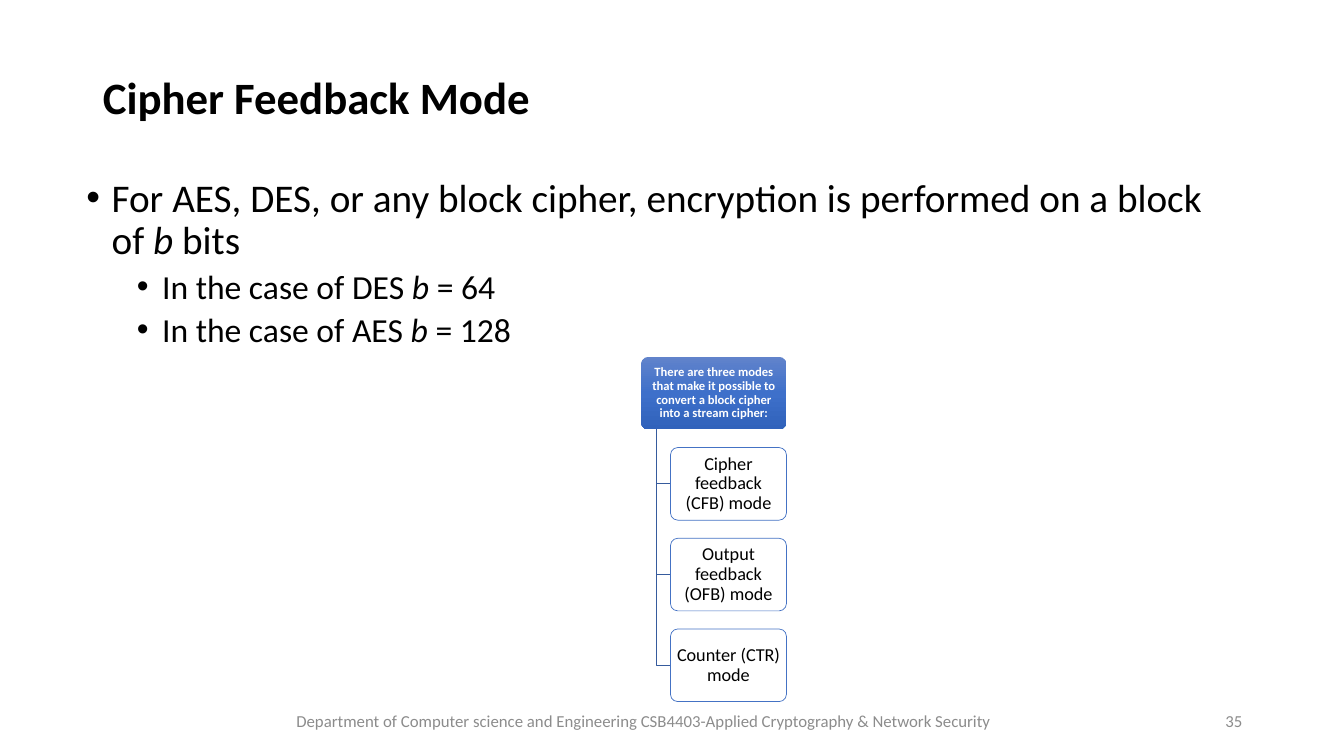
from copy import deepcopy
from dataclasses import dataclass

from lxml import etree
from pptx import Presentation
from pptx.dml.color import RGBColor
from pptx.enum import shapes, text
from pptx.oxml.ns import qn
from pptx.util import Inches, Pt


@dataclass(frozen=True)
class Theme:
    font: str = "Calibri"
    black: str = "000000"
    white: str = "FFFFFF"
    grey: str = "8C8C8C"
    outline: str = "4472C4"
    branch: str = "365B9D"
    gradient: tuple = ("6183CB", "3E70CA", "3062BB")
    title: int = 32
    body: tuple = (28, 24)
    mode: int = 13
    header: int = 9
    footer: int = 12


theme = Theme()


def add_span(para, words, size, color, bold=False, italic=False):
    span = para.add_run()
    span.text = words
    span.font.name = theme.font
    span.font.size = Pt(size)
    span.font.color.rgb = RGBColor.from_string(color)
    span.font.bold = bold
    span.font.italic = italic


def add_node(page, left, top, width, words, size, color, bold=False):
    """Add one rounded box of the hierarchy with its centred label."""
    node = page.shapes.add_shape(
        shapes.MSO_SHAPE.ROUNDED_RECTANGLE,
        Inches(left), Inches(top), Inches(width), Inches(node_height))
    node.adjustments[0] = 0.1
    node.shadow.inherit = False
    frame = node.text_frame
    frame.word_wrap = True
    frame.vertical_anchor = text.MSO_ANCHOR.MIDDLE
    frame.margin_left = frame.margin_right = Inches(0.03)
    frame.margin_top = frame.margin_bottom = Inches(0.02)
    para = frame.paragraphs[0]
    para.alignment = text.PP_ALIGN.CENTER
    para.line_spacing = 0.9
    add_span(para, words, size, color, bold)
    return node


deck = Presentation()
deck.slide_width, deck.slide_height = Inches(13.33), Inches(7.5)
page = deck.slides.add_slide(deck.slide_layouts[5])

# Title
title = page.shapes.title
title.left, title.top = Inches(0.92), Inches(0.4)
title.width, title.height = Inches(11.5), Inches(1.18)
title.text_frame.vertical_anchor = text.MSO_ANCHOR.MIDDLE
para = title.text_frame.paragraphs[0]
para.alignment = text.PP_ALIGN.LEFT
para.line_spacing = 0.9
add_span(para, "Cipher Feedback Mode", theme.title, theme.black, bold=True)

# Bullets: level, words before the italic b, words after it
bullets = [
    (0, "For AES, DES, or any block cipher, encryption is performed on a block of ", "bits"),
    (1, "In the case of DES ", "= 64"),
    (1, "In the case of AES ", "= 128"),
]
box = page.shapes.add_textbox(Inches(0.76), Inches(1.72), Inches(11.66), Inches(1.8))
frame = box.text_frame
frame.word_wrap = True
for index, (level, before, after) in enumerate(bullets):
    para = frame.paragraphs[0] if index == 0 else frame.add_paragraph()
    para.level = level
    props = para._p.get_or_add_pPr()
    props.set("marL", str(Inches(0.25 + 0.5 * level)))
    props.set("indent", str(Inches(-0.25)))
    etree.SubElement(props, qn("a:buFont")).set("typeface", "Arial")
    etree.SubElement(props, qn("a:buChar")).set("char", "•")
    para.line_spacing = 0.9
    if index:
        para.space_before = Pt(5)
    for words, italic in ((before, False), ("b ", True), (after, False)):
        add_span(para, words, theme.body[level], theme.black, italic=italic)

# Hierarchy header
header_left, header_top, header_width = 6.36, 3.54, 1.44
node_height, pitch = 0.72, 0.9
trunk_x, mode_left, mode_width = 6.51, 6.65, 1.15
header = add_node(
    page, header_left, header_top, header_width,
    "There are three modes that make it possible to convert a block cipher into a stream cipher:",
    theme.header, theme.white, bold=True)
header.line.fill.background()
header.fill.gradient()
header.fill.gradient_angle = 270
stop_list = header._element.spPr.find(qn("a:gradFill")).find(qn("a:gsLst"))
stop_list.insert(1, deepcopy(stop_list[0]))
for index, stop in enumerate(header.fill.gradient_stops):
    stop.position = index / 2
    stop.color.rgb = RGBColor.from_string(theme.gradient[index])

# Modes, each with its branch from the header
modes = ["Cipher feedback (CFB) mode", "Output feedback (OFB) mode", "Counter (CTR) mode"]
trunk_top = header_top + node_height
for index, words in enumerate(modes, start=1):
    top = header_top + index * pitch
    middle = top + node_height / 2
    builder = page.shapes.build_freeform(Inches(trunk_x), Inches(trunk_top))
    builder.add_line_segments(
        [(Inches(trunk_x), Inches(middle)), (Inches(mode_left), Inches(middle))], close=False)
    branch = builder.convert_to_shape()
    branch.shadow.inherit = False
    branch.fill.background()
    node = add_node(page, mode_left, top, mode_width, words, theme.mode, theme.black)
    node.fill.solid()
    node.fill.fore_color.rgb = RGBColor.from_string(theme.white)
    fill_color = node._element.spPr.find(qn("a:solidFill"))[0]
    etree.SubElement(fill_color, qn("a:alpha")).set("val", "90000")
    for shape, color in ((branch, theme.branch), (node, theme.outline)):
        shape.line.color.rgb = RGBColor.from_string(color)
        shape.line.width = Pt(0.5)

# Footer and page number
footers = [
    (1.92, 8.97, text.PP_ALIGN.CENTER,
     "Department of Computer science and Engineering CSB4403-Applied Cryptography & Network Security "),
    (9.42, 3, text.PP_ALIGN.RIGHT, "35"),
]
for left, width, alignment, words in footers:
    box = page.shapes.add_textbox(Inches(left), Inches(6.95), Inches(width), Inches(0.4))
    box.text_frame.word_wrap = True
    box.text_frame.vertical_anchor = text.MSO_ANCHOR.MIDDLE
    para = box.text_frame.paragraphs[0]
    para.alignment = alignment
    add_span(para, words, theme.footer, theme.grey)

deck.save("out.pptx")
